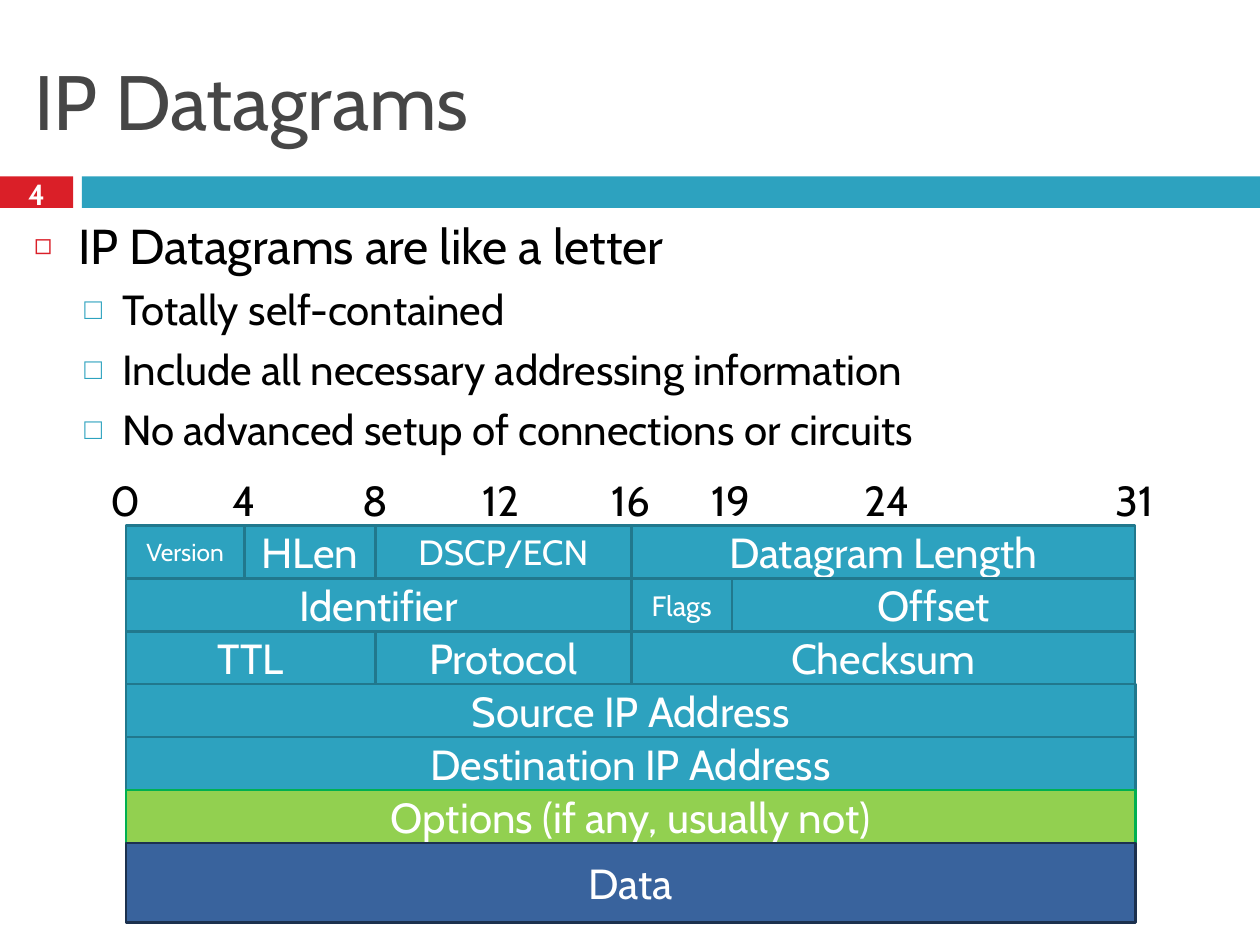
from typing import NamedTuple

from lxml import etree
from pptx import Presentation
from pptx.dml.color import RGBColor
from pptx.enum.shapes import MSO_SHAPE
from pptx.enum.text import MSO_ANCHOR, MSO_AUTO_SIZE, PP_ALIGN
from pptx.oxml.ns import qn
from pptx.util import Inches, Pt

RECT = MSO_SHAPE.RECTANGLE
MIDDLE, TOP = MSO_ANCHOR.MIDDLE, MSO_ANCHOR.TOP
LEFT, CENTER = PP_ALIGN.LEFT, PP_ALIGN.CENTER
FIXED = MSO_AUTO_SIZE.NONE
FONT = "Cabin"
COLORS = {
    "red": "DA1F28", "teal": "2DA2BF", "edge": "21788D",
    "green": "92D050", "leaf": "00B050", "blue": "39639D",
    "navy": "1C314E", "gray": "464646", "black": "000000",
    "white": "FFFFFF",
}
BITS = {0: 1, 4: 1.94, 8: 2.98, 12: 3.98, 16: 5.01, 19: 5.81, 24: 7.05, 31: 9.01}
GRID_TOP, ROW = 4.17, 0.42


class Box(NamedTuple):
    left: float
    top: float
    width: float
    height: float


class Field(NamedTuple):
    text: str
    row: int
    start: int
    end: int
    size: int = 24
    fill: str = "teal"
    line: str = "edge"
    height: float = ROW


class Level(NamedTuple):
    size: int
    indent: float
    hang: float
    before: float
    mark: str
    color: str
    scale: int


class Item(NamedTuple):
    text: str
    level: int


FIELDS = [
    Field("Version", 0, 0, 4, 14),
    Field("HLen", 0, 4, 8),
    Field("DSCP/ECN", 0, 8, 16, 20),
    Field("Datagram Length", 0, 16, 31),
    Field("Identifier", 1, 0, 16),
    Field("Flags", 1, 16, 19, 16),
    Field("Offset", 1, 19, 31),
    Field("TTL", 2, 0, 8),
    Field("Protocol", 2, 8, 16),
    Field("Checksum", 2, 16, 31),
    Field("Source IP Address", 3, 0, 31),
    Field("Destination IP Address", 4, 0, 31),
    Field("Options (if any, usually not)", 5, 0, 31, fill="green", line="leaf"),
    Field("Data", 6, 0, 31, fill="blue", line="navy", height=0.63),
]
LEVELS = [
    Level(28, 0.35, 0.35, 7, "◻", "red", 60),
    Level(24, 0.7, 0.3, 5.5, "□", "teal", 70),
]
ITEMS = [
    Item("IP Datagrams are like a letter", 0),
    Item("Totally self-contained", 1),
    Item("Include all necessary addressing information", 1),
    Item("No advanced setup of connections or circuits", 1),
]


def rgb(name: str) -> RGBColor:
    return RGBColor.from_string(COLORS[name])


def style(para, size: float, color: str, align=CENTER, bold: bool = False) -> None:
    para.alignment = align
    font = para.font
    font.name, font.size, font.bold = FONT, Pt(size), bold
    font.color.rgb = rgb(color)


def place(shape, box: Box) -> None:
    shape.left, shape.top, shape.width, shape.height = map(Inches, box)


def frame(shape, anchor=MIDDLE):
    text = shape.text_frame
    text.word_wrap = True
    text.auto_size = FIXED
    text.vertical_anchor = anchor
    return text


def write(shape, text: str, size: float, color: str, align=CENTER, bold: bool = False) -> None:
    para = frame(shape).paragraphs[0]
    para.text = text
    style(para, size, color, align, bold)


def add_rect(slide, box: Box, fill: str, line: str = ""):
    shape = slide.shapes.add_shape(RECT, *map(Inches, box))
    shape.shadow.inherit = False
    shape.fill.solid()
    shape.fill.fore_color.rgb = rgb(fill)
    if line:
        shape.line.color.rgb = rgb(line)
        shape.line.width = Pt(1.5)
    else:
        shape.line.fill.background()
    return shape


def add_label(slide, box: Box, text: str, size: float, color: str, bold: bool = False) -> None:
    shape = slide.shapes.add_textbox(*map(Inches, box))
    write(shape, text, size, color, bold=bold)


def add_field(slide, field: Field) -> None:
    left = BITS[field.start]
    box = Box(left, GRID_TOP + field.row * ROW, BITS[field.end] - left, field.height)
    write(add_rect(slide, box, field.fill, field.line), field.text, field.size, "white")


def add_mark(para, level: Level) -> None:
    props = para._p.get_or_add_pPr()
    props.set("marL", str(Inches(level.indent)))
    props.set("indent", str(-Inches(level.hang)))
    tint = etree.SubElement(props, qn("a:buClr"))
    etree.SubElement(tint, qn("a:srgbClr"), val=COLORS[level.color])
    etree.SubElement(props, qn("a:buSzPct"), val=str(level.scale * 1000))
    etree.SubElement(props, qn("a:buChar"), char=level.mark)


def fill_list(shape, items: list[Item]) -> None:
    text = frame(shape, TOP)
    for index, item in enumerate(items):
        para = text.add_paragraph() if index else text.paragraphs[0]
        level = LEVELS[item.level]
        para.text = item.text
        para.level = item.level
        para.space_before = Pt(level.before if index else 0)
        add_mark(para, level)
        style(para, level.size, "black", LEFT)


def main() -> None:
    deck = Presentation()
    deck.slide_width, deck.slide_height = Inches(10), Inches(7.5)
    slide = deck.slides.add_slide(deck.slide_layouts[1])
    title, body = slide.placeholders

    add_rect(slide, Box(0, 1.4, 0.58, 0.25), "red")
    add_rect(slide, Box(0.65, 1.4, 9.35, 0.25), "teal")
    add_label(slide, Box(0, 1.37, 0.58, 0.33), "4", 16.6, "white", True)

    place(title, Box(0.17, 0.25, 9.67, 1.08))
    write(title, "IP Datagrams", 44, "gray", LEFT)
    place(body, Box(0.17, 1.66, 9.67, 2.25))
    fill_list(body, ITEMS)

    for field in FIELDS:
        add_field(slide, field)
    for bit, mid in BITS.items():
        add_label(slide, Box(mid - 0.33, 3.64, 0.65, 0.66), str(bit), 24, "black")

    deck.save("out.pptx")


if __name__ == "__main__":
    main()
